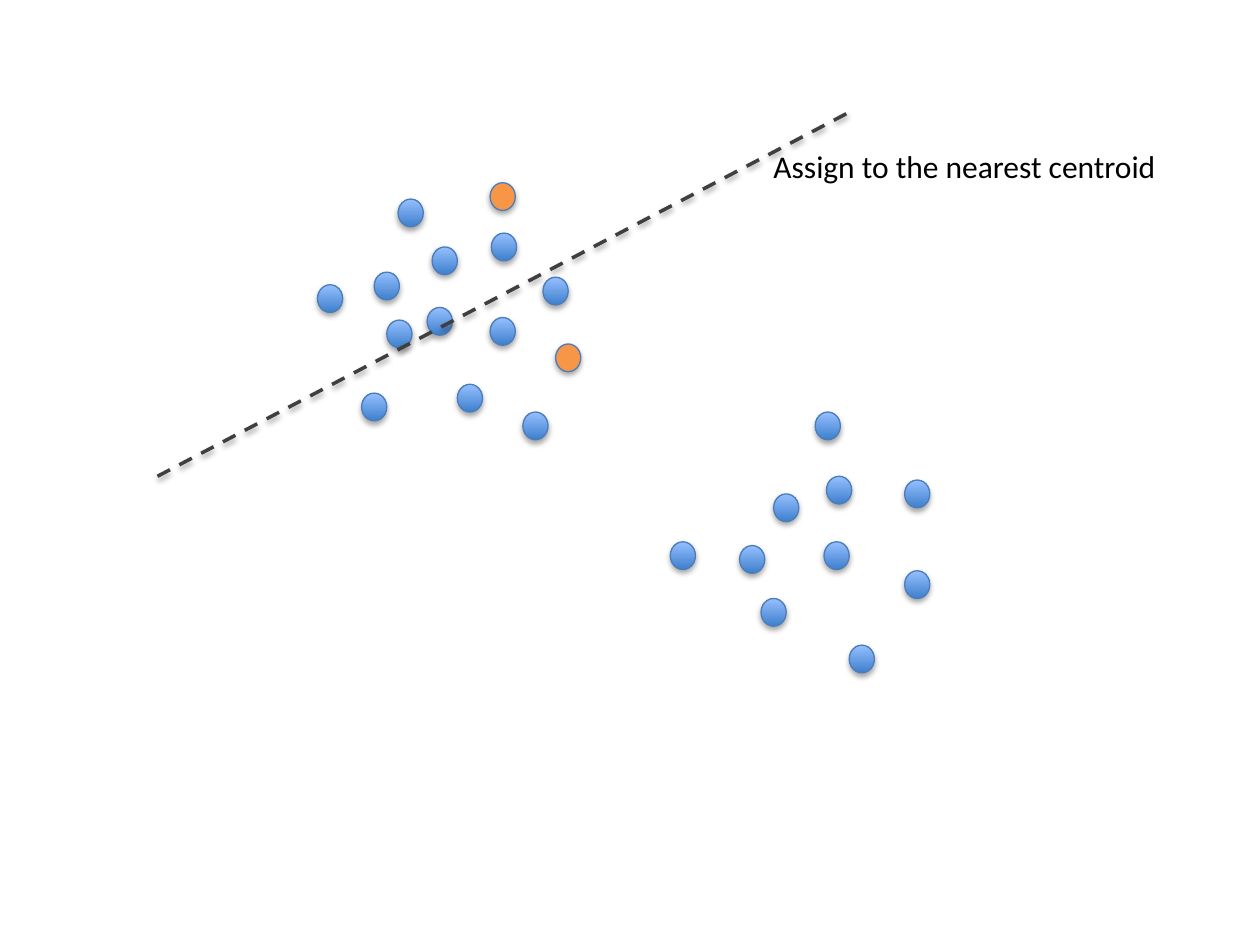
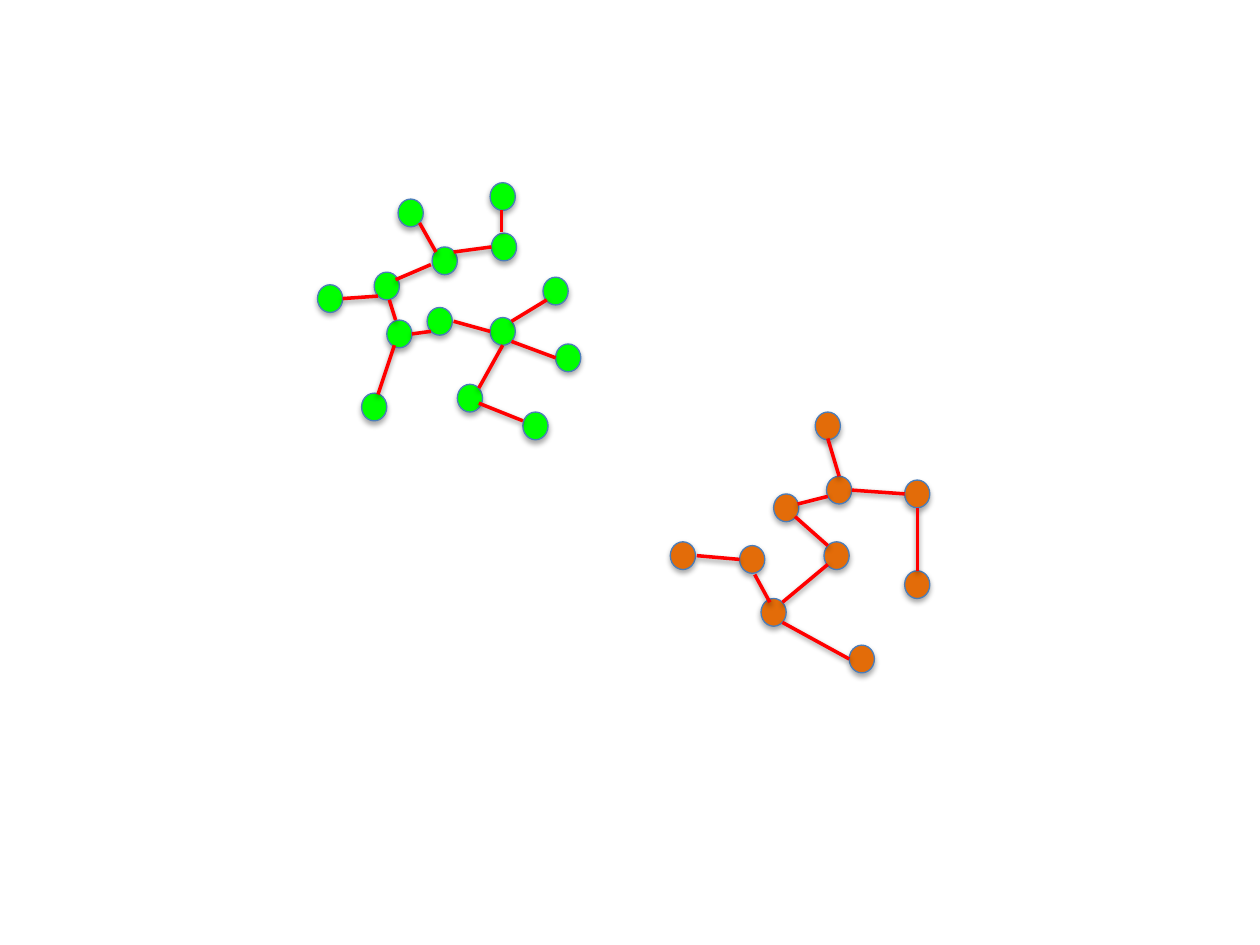
import pptx
import pptx.util
import pptx.dml.color
import pptx.enum.dml
import pptx.enum.shapes
import pptx.oxml
import pptx.oxml.ns

RGBColor = pptx.dml.color.RGBColor
BLACK = RGBColor(0x00, 0x00, 0x00)
GREY = RGBColor(0x3F, 0x3F, 0x3F)
RED = RGBColor(0xFF, 0x00, 0x00)
GREEN = RGBColor(0x00, 0xFF, 0x00)
ORANGE = RGBColor(0xF7, 0x96, 0x46)
DARK_ORANGE = RGBColor(0xE3, 0x6C, 0x09)
OUTLINE = RGBColor(0x4A, 0x7D, 0xBA)
BLUE_GRADIENT = (RGBColor(0x3E, 0x7F, 0xCD), RGBColor(0x96, 0xC0, 0xFF))

PX = 9144  # EMU per px, 100 px to the inch
DOT_W, DOT_H = 20, 22

# Left and top of every data point, by cluster
UPPER_CLUSTER = [
    (441, 273), (339, 244), (390, 185), (389, 145), (431, 220), (363, 305), (343, 196),
    (287, 312), (415, 327), (252, 226), (316, 158), (307, 254), (297, 216), (389, 252),
]
LOWER_CLUSTER = [
    (656, 378), (718, 453), (614, 392), (647, 327), (654, 430),
    (587, 433), (674, 512), (718, 381), (532, 430), (604, 475),
]
CENTROIDS = [(441, 273), (389, 145)]

# Start and end of every tree edge
TREE_EDGES = [
    (309, 238, 314, 254), (398, 167, 398, 184), (327, 265, 342, 263),
    (599, 456, 611, 478), (633, 400, 657, 394), (333, 177, 346, 200),
    (272, 237, 300, 235), (360, 200, 390, 196), (314, 222, 342, 210),
    (666, 378, 657, 348), (360, 255, 389, 263), (631, 410, 657, 433),
    (406, 255, 434, 238), (553, 441, 587, 444), (380, 320, 415, 334),
    (406, 271, 441, 284), (676, 389, 718, 392), (728, 403, 728, 453),
    (300, 313, 313, 274), (380, 308, 399, 274), (621, 478, 657, 448),
    (621, 494, 674, 523),
]


class Deck:
    """Presentation style and the current slide."""

    def __init__(self, width, height):
        self.prs = pptx.Presentation()
        self.prs.slide_width, self.prs.slide_height = width * PX, height * PX
        self.s = None

    def new_slide(self):
        self.s = self.prs.slides.add_slide(self.prs.slide_layouts[6])

    def shadow(self, sp, distance, opacity):
        """Soft shadow straight below a shape or connector."""
        spPr = sp._element.spPr
        for old in spPr.findall(pptx.oxml.ns.qn("a:effectLst")):
            spPr.remove(old)
        spPr.append(pptx.oxml.parse_xml(
            f'<a:effectLst {pptx.oxml.ns.nsdecls("a")}>'
            f'<a:outerShdw blurRad="40000" dist="{distance}" dir="5400000" rotWithShape="0">'
            f'<a:srgbClr val="000000"><a:alpha val="{opacity * 1000}"/></a:srgbClr>'
            '</a:outerShdw></a:effectLst>'))

    def dot(self, x, y, fill):
        """Data point; fill is one colour or a (bottom, top) pair."""
        sp = self.s.shapes.add_shape(pptx.enum.shapes.MSO_SHAPE.OVAL,
                                     x * PX, y * PX, DOT_W * PX, DOT_H * PX)
        if isinstance(fill, RGBColor):
            sp.fill.solid()
            sp.fill.fore_color.rgb = fill
        else:
            sp.fill.gradient()
            sp.fill.gradient_angle = 90
            for stop, color in zip(sp.fill.gradient_stops, fill):
                stop.color.rgb = color
        sp.line.color.rgb = OUTLINE
        sp.line.width = pptx.util.Pt(0.75)
        sp.shadow.inherit = False
        self.shadow(sp, 23000, 35)

    def line(self, x1, y1, x2, y2, color, dash=None):
        sp = self.s.shapes.add_connector(pptx.enum.shapes.MSO_CONNECTOR.STRAIGHT,
                                         x1 * PX, y1 * PX, x2 * PX, y2 * PX)
        sp.line.color.rgb = color
        sp.line.width = pptx.util.Pt(2)
        if dash:
            sp.line.dash_style = dash
        self.shadow(sp, 20000, 38)

    def text(self, x, y, w, h, words):
        tf = self.s.shapes.add_textbox(x * PX, y * PX, w * PX, h * PX).text_frame
        tf.word_wrap = True
        r = tf.paragraphs[0].add_run()
        r.text = words
        r.font.name = "Calibri"
        r.font.size = pptx.util.Pt(18)
        r.font.color.rgb = BLACK


def main():
    deck = Deck(1000, 750)

    # Slide 1: points split between two centroids
    deck.new_slide()
    for point in UPPER_CLUSTER + LOWER_CLUSTER:
        deck.dot(*point, ORANGE if point in CENTROIDS else BLUE_GRADIENT)
    deck.text(604, 112, 327, 40, "Assign to the nearest centroid")
    deck.line(125, 378, 676, 88, GREY, pptx.enum.dml.MSO_LINE.DASH)

    # Slide 2: two clusters, each joined by a tree
    deck.new_slide()
    for cluster, color in ((UPPER_CLUSTER, GREEN), (LOWER_CLUSTER, DARK_ORANGE)):
        for point in cluster:
            deck.dot(*point, color)
    for edge in TREE_EDGES:
        deck.line(*edge, RED)

    deck.prs.save("out.pptx")


if __name__ == "__main__":
    main()
